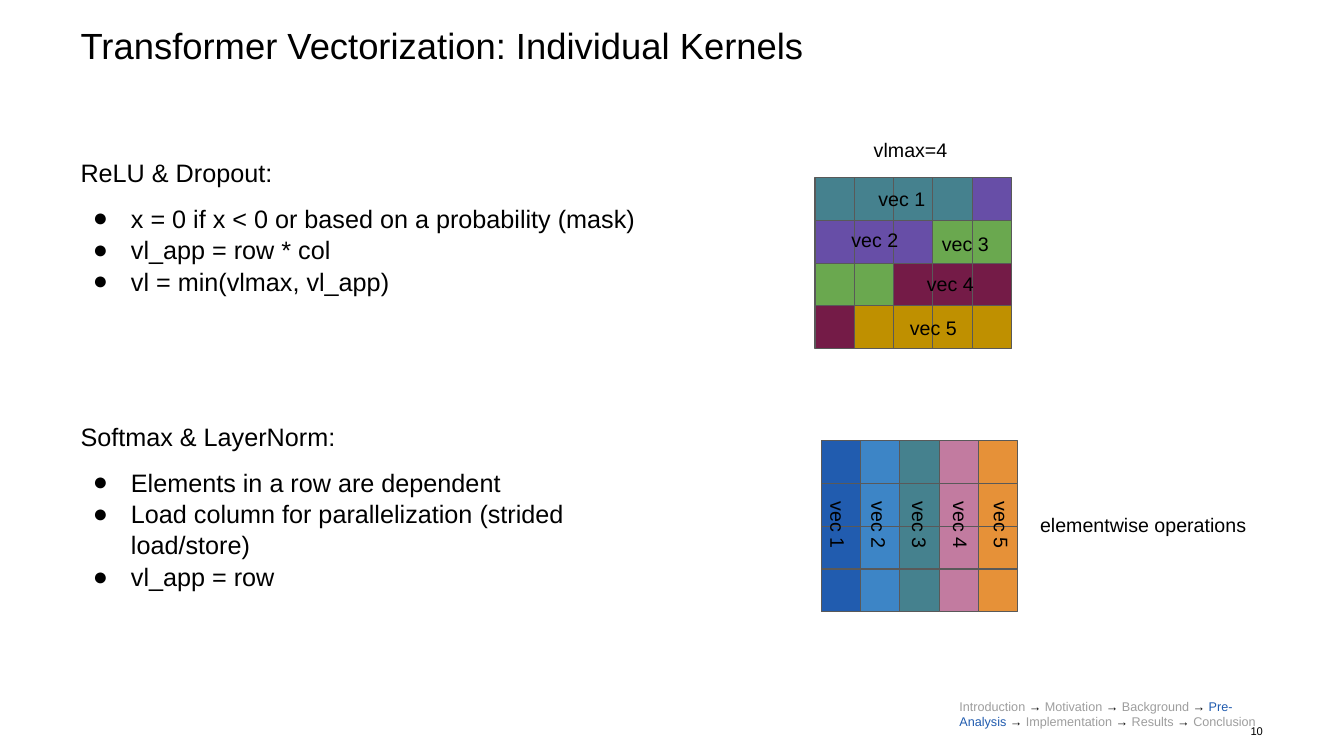
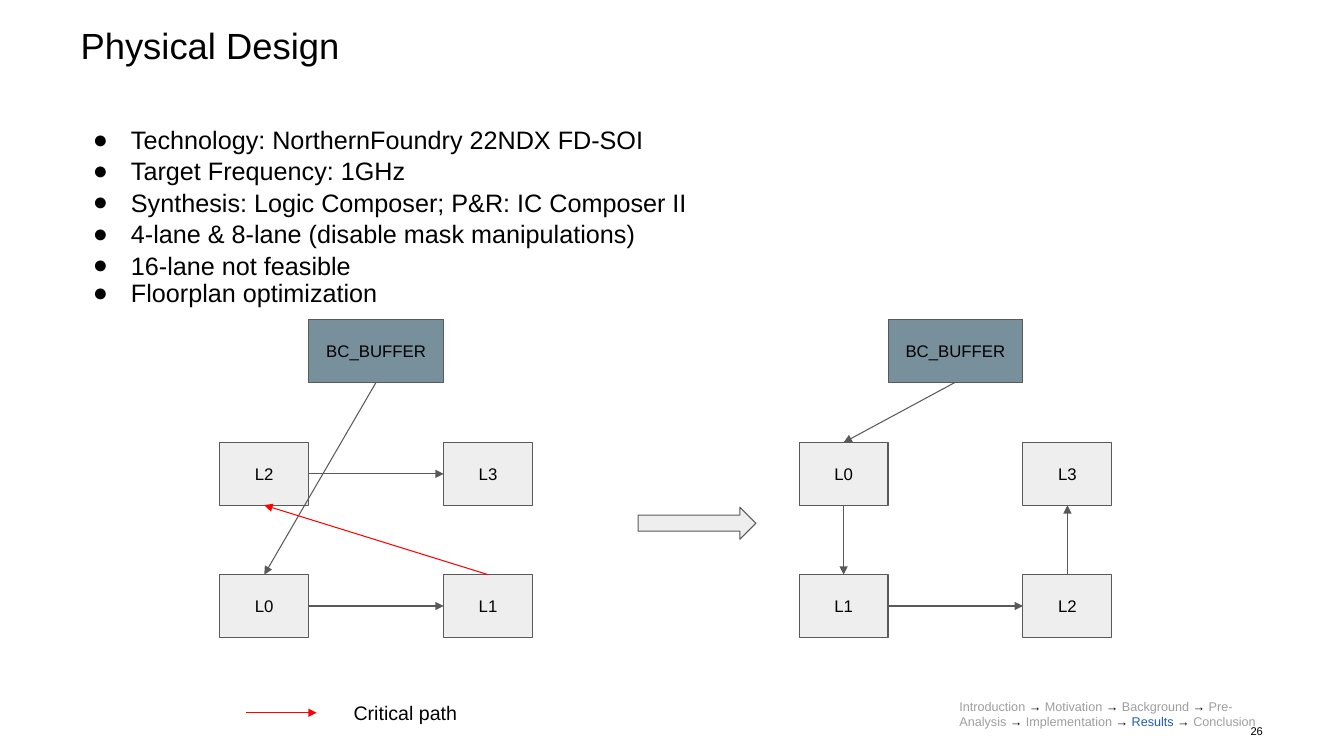
from lxml.etree import SubElement
from pptx import Presentation
from pptx.dml.color import RGBColor
from pptx.enum.shapes import MSO_CONNECTOR, MSO_SHAPE
from pptx.enum.text import MSO_ANCHOR, MSO_AUTO_SIZE, PP_ALIGN
from pptx.oxml.ns import qn
from pptx.util import Cm, Pt

FONT = "Arial"
BLACK, GREY, PALE, MUTED = "000000", "595959", "EEEEEE", "9E9E9E"
BLUE, RED, SLATE, TEAL = "215CAF", "FF0000", "78909C", "45818E"
ROW_COLORS = [TEAL, "674EA7", "6AA84F", "741B47", "BF9000"]
COLUMN_COLORS = [BLUE, "3D85C6", TEAL, "C27BA0", "E69138"]
SECTIONS = ["Introduction", "Motivation", "Background", "Pre-Analysis",
            "Implementation", "Results", "Conclusion"]
TOP, LEFT, BOTTOM, RIGHT = range(4)
COLS, ROWS, CELL_W, CELL_H = 5, 4, 0.99, 1.08
BOX_W, BOX_H, BUFFER_W, BOX_STEP = 2.24, 1.58, 3.4, 5.64


def rgb(color):
    return RGBColor.from_string(color)


def write(p, text, size=14, color=BLACK, align=PP_ALIGN.LEFT, spacing=None, before=0):
    p.alignment = align
    p.space_before = Pt(before)
    if spacing:
        p.line_spacing = spacing
    r = p.add_run()
    r.text = text
    r.font.name, r.font.size = FONT, Pt(size)
    r.font.color.rgb = rgb(color)


def set_bullet(p, bulleted):
    pPr = p._p.get_or_add_pPr()
    pPr.set("marL", str(Cm(1.27) if bulleted else 0))
    pPr.set("indent", str(Cm(-0.96) if bulleted else 0))
    if not bulleted:
        SubElement(pPr, qn("a:buNone"))
        return
    SubElement(SubElement(pPr, qn("a:buClr")), qn("a:srgbClr"), val=BLACK)
    SubElement(pPr, qn("a:buFont"), typeface=FONT)
    SubElement(pPr, qn("a:buChar"), char="●")


def place(sp, x, y, w, h):
    sp.left, sp.top, sp.width, sp.height = Cm(x), Cm(y), Cm(w), Cm(h)


def frame(sp, inset=0.0, anchor=MSO_ANCHOR.TOP):
    tf = sp.text_frame
    tf.auto_size, tf.word_wrap = MSO_AUTO_SIZE.NONE, True
    tf.vertical_anchor = anchor
    tf.margin_left = tf.margin_right = tf.margin_top = tf.margin_bottom = Cm(inset)
    return tf


class Deck:
    """Holds the presentation, its style and the current slide."""

    def __init__(self):
        self.prs = Presentation()
        self.prs.slide_width, self.prs.slide_height = Cm(33.87), Cm(19.05)

    def new_slide(self, title, number, section):
        self.s = self.prs.slides.add_slide(self.prs.slide_layouts[3])
        sp = self.s.shapes.title
        place(sp, 2.03, 0.71, 29.8, 2.49)
        write(frame(sp).paragraphs[0], title, size=26, spacing=0.9)
        self.label(number, 30.94, 18.11, 0.89, 0.61, inset=0,
                   anchor=MSO_ANCHOR.MIDDLE, size=8, align=PP_ALIGN.RIGHT)
        self.breadcrumb(section)

    def breadcrumb(self, current):
        p = frame(self.s.shapes.add_textbox(Cm(23.93), Cm(17.37), Cm(8.18), Cm(1.68)),
                  0.25).paragraphs[0]
        for i, section in enumerate(SECTIONS):
            if i:
                write(p, " → ", size=9)
            write(p, section, size=9, color=BLUE if section == current else MUTED)

    def body(self, idx, y, w, h, bullets, heading=None):
        sp = self.s.placeholders[idx]
        place(sp, 2.03, y, w, h)
        tf = frame(sp)
        lines = ([heading] if heading else []) + bullets
        for i, line in enumerate(lines):
            p = tf.add_paragraph() if i else tf.paragraphs[0]
            set_bullet(p, line != heading)
            write(p, line, size=18, spacing=1.04, before=10 if heading and i == 1 else 0)

    def label(self, text, x, y, w, h=1.12, inset=0.25, anchor=MSO_ANCHOR.TOP,
              rotation=0, **fmt):
        sp = self.s.shapes.add_textbox(Cm(x), Cm(y), Cm(w), Cm(h))
        sp.rotation = rotation
        write(frame(sp, inset, anchor).paragraphs[0], text, **fmt)

    def shape(self, x, y, w, h, fill, text=None, kind=MSO_SHAPE.RECTANGLE):
        sp = self.s.shapes.add_shape(kind, Cm(x), Cm(y), Cm(w), Cm(h))
        sp.shadow.inherit = False
        sp.fill.solid()
        sp.fill.fore_color.rgb = rgb(fill)
        sp.line.color.rgb, sp.line.width = rgb(GREY), Pt(0.75)
        if text:
            write(frame(sp, 0.25, MSO_ANCHOR.MIDDLE).paragraphs[0], text,
                  size=12, align=PP_ALIGN.CENTER)
        return sp

    def arrow(self, color=GREY, start=(0, 0), end=(0, 0)):
        line = self.s.shapes.add_connector(
            MSO_CONNECTOR.STRAIGHT, *[Cm(v) for v in (*start, *end)])
        line.line.color.rgb, line.line.width = rgb(color), Pt(0.75)
        spPr = line._element.spPr
        SubElement(spPr.find(qn("a:ln")), qn("a:tailEnd"), type="triangle")
        SubElement(spPr, qn("a:effectLst"))
        return line

    def matrix(self, x, y, colors, vector_of):
        """Draw a grid whose cells are coloured by vector_of(row, col)."""
        for row in range(ROWS):
            for col in range(COLS):
                self.shape(x + col * CELL_W, y + row * CELL_H, CELL_W, CELL_H,
                           colors[vector_of(row, col)])

    def floorplan(self, x, lanes, links):
        """Draw the buffer over a 2 x 2 grid of lanes, named row by row."""
        name = "BC_BUFFER"
        boxes = {name: self.shape(x + BOX_W, 8.05, BUFFER_W, BOX_H, SLATE, name)}
        for i, lane in enumerate(lanes):
            row, col = divmod(i, 2)
            boxes[lane] = self.shape(x + col * BOX_STEP, 11.15 + row * 3.33,
                                     BOX_W, BOX_H, PALE, lane)
        for source, out_side, target, in_side, color in links:
            line = self.arrow(color)
            line.begin_connect(boxes[source], out_side)
            line.end_connect(boxes[target], in_side)


def build_kernels(deck):
    deck.new_slide("Transformer Vectorization: Individual Kernels", "10", "Pre-Analysis")
    deck.body(1, 3.94, 14.81, 5.74, [
        "x = 0 if x < 0 or based on a probability (mask)",
        "vl_app = row * col",
        "vl = min(vlmax, vl_app)"], heading="ReLU & Dropout:")
    deck.body(2, 10.59, 14.81, 5.74, [
        "Elements in a row are dependent",
        "Load column for parallelization (strided load/store)",
        "vl_app = row"], heading="Softmax & LayerNorm:")

    deck.matrix(20.54, 4.47, ROW_COLORS, lambda row, col: (row * COLS + col) // 4)
    deck.matrix(20.7, 11.1, COLUMN_COLORS, lambda row, col: col)
    row_labels = [(21.46, 4.47), (20.78, 5.49), (23.06, 5.59), (22.68, 6.6), (22.25, 7.72)]
    for i, (x, y) in enumerate(row_labels):
        text = f"vec {i + 1}"
        deck.label(text, x, y, 2.54, align=PP_ALIGN.CENTER)
        deck.label(text, 19.84 + 1.03 * i, 12.67, 2.54, rotation=90, align=PP_ALIGN.CENTER)
    deck.label("vlmax=4", 21.77, 3.23, 2.62)
    deck.label("elementwise operations", 25.96, 12.67, 5.87)


def build_physical_design(deck):
    deck.new_slide("Physical Design", "26", "Results")
    deck.body(1, 3.1, 29.8, 3.84, [
        "Technology: NorthernFoundry 22NDX FD-SOI",
        "Target Frequency: 1GHz",
        "Synthesis: Logic Composer; P&R: IC Composer II",
        "4-lane & 8-lane (disable mask manipulations)",
        "16-lane not feasible"])
    deck.body(2, 6.96, 29.8, 1.7, ["Floorplan optimization"])

    deck.floorplan(5.54, ["L2", "L3", "L0", "L1"], [
        ("BC_BUFFER", BOTTOM, "L0", TOP, GREY),
        ("L0", RIGHT, "L1", LEFT, GREY),
        ("L1", TOP, "L2", BOTTOM, RED),
        ("L2", RIGHT, "L3", LEFT, GREY)])
    deck.floorplan(20.14, ["L0", "L3", "L1", "L2"], [
        ("BC_BUFFER", BOTTOM, "L0", TOP, GREY),
        ("L0", BOTTOM, "L1", TOP, GREY),
        ("L1", RIGHT, "L2", LEFT, GREY),
        ("L2", TOP, "L3", BOTTOM, GREY)])
    deck.shape(16.08, 12.78, 2.97, 0.81, PALE, kind=MSO_SHAPE.RIGHT_ARROW)
    deck.arrow(RED, (6.2, 17.96), (7.98, 17.96))
    deck.label("Critical path", 8.66, 17.42, 5.26)


def main():
    deck = Deck()
    build_kernels(deck)
    build_physical_design(deck)
    deck.prs.save("out.pptx")


if __name__ == "__main__":
    main()
